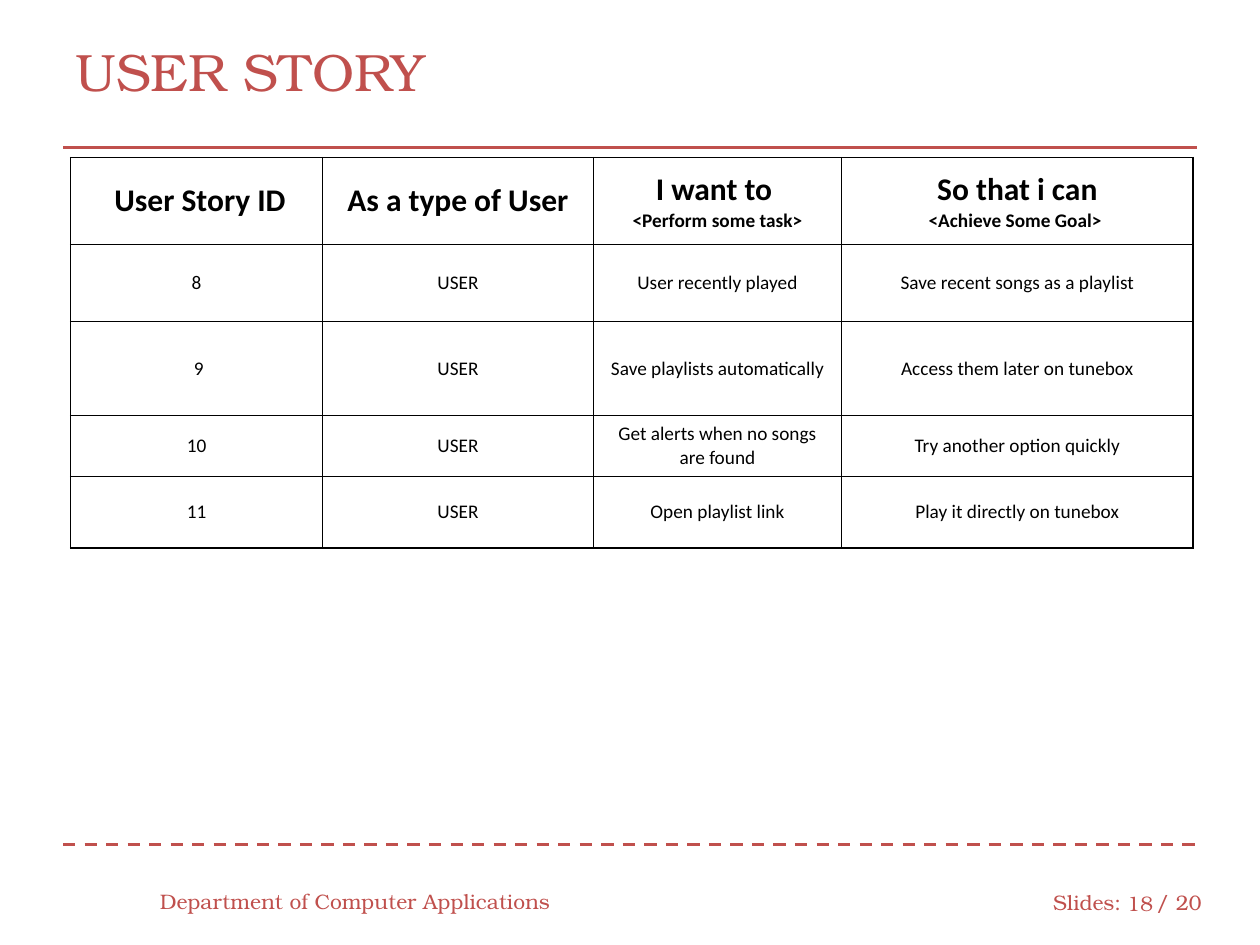
import pptx
import pptx.util
import pptx.dml.color
import pptx.enum.dml
import pptx.enum.shapes
import pptx.enum.text
from lxml import etree

Inches, Pt = pptx.util.Inches, pptx.util.Pt
ALIGN = pptx.enum.text.PP_ALIGN
MIDDLE = pptx.enum.text.MSO_ANCHOR.MIDDLE
NS = "http://schemas.openxmlformats.org/drawingml/2006/main"
RED, BLACK, WHITE = "C0504D", "000000", "FFFFFF"
SERIF, SANS = "TeX Gyre Bonum", "Calibri"

LABELS = [
    ("USER STORY", 0.5, 0.2, 9, 0.72, 30, ALIGN.LEFT),
    ("Department of Computer Applications", 1.17, 6.95, 3.33, 0.4, 12, ALIGN.LEFT),
    ("Slides:", 8.26, 6.96, 0.75, 0.4, 12, ALIGN.LEFT),
    ("18", 8.83, 6.97, 0.42, 0.4, 12, ALIGN.RIGHT),
    ("/ 20", 9.08, 6.96, 0.58, 0.4, 12, ALIGN.LEFT),
]
RULES = [(1.17, False), (6.7, True)]
HEADER = [
    [" User Story ID"],
    ["As a type of User"],
    ["I want to ", "<Perform some task>"],
    ["So that i can", "<Achieve Some Goal> "],
]
STORIES = [
    ("8", "USER", "User recently played", "Save recent songs as a playlist"),
    (" 9", "USER", "Save playlists automatically", "Access them later on tunebox"),
    ("10", "USER", "Get alerts when no songs are found", "Try another option quickly"),
    ("11", "USER", "Open playlist link", "Play it directly on tunebox"),
]
COLS = [2, 2.15, 1.97, 2.79]
ROWS = [0.69, 0.61, 0.75, 0.48, 0.57]
BORDERS = [("lnL", 1), ("lnR", 1), ("lnT", 0.75), ("lnB", 0.75)]


def rgb(color):
    return pptx.dml.color.RGBColor.from_string(color)


def add_run(p, text, size, font, color, bold=False):
    r = p.add_run()
    r.text = text
    r.font.size = Pt(size)
    r.font.name = font
    r.font.bold = bold
    r.font.color.rgb = rgb(color)


def add_label(s, text, x, y, w, h, size, align):
    sp = s.shapes.add_textbox(Inches(x), Inches(y), Inches(w), Inches(h))
    tf = sp.text_frame
    tf.word_wrap = True
    tf.vertical_anchor = MIDDLE
    p = tf.paragraphs[0]
    p.alignment = align
    add_run(p, text, size, SERIF, RED)


def add_rule(s, y, dashed):
    sp = s.shapes.add_connector(
        pptx.enum.shapes.MSO_CONNECTOR.STRAIGHT,
        Inches(0.5), Inches(y), Inches(9.5), Inches(y))
    sp.line.color.rgb = rgb(RED)
    sp.line.width = Pt(1.75)
    if dashed:
        sp.line.dash_style = pptx.enum.dml.MSO_LINE.DASH
    etree.SubElement(sp._element.spPr, f"{{{NS}}}effectLst")


def add_borders(cell):
    tcPr = cell._tc.get_or_add_tcPr()
    for tag, width in BORDERS:
        ln = etree.SubElement(tcPr, f"{{{NS}}}{tag}", w=str(Pt(width)))
        fill = etree.SubElement(ln, f"{{{NS}}}solidFill")
        etree.SubElement(fill, f"{{{NS}}}srgbClr", val=BLACK)


def fill_cell(cell, lines, sizes, bold, inset):
    add_borders(cell)
    cell.fill.solid()
    cell.fill.fore_color.rgb = rgb(WHITE)
    cell.vertical_anchor = MIDDLE
    cell.margin_left = cell.margin_right = Inches(0.1)
    cell.margin_top = cell.margin_bottom = Inches(inset)
    tf = cell.text_frame
    for i, (text, size) in enumerate(zip(lines, sizes)):
        p = tf.paragraphs[0] if i == 0 else tf.add_paragraph()
        p.alignment = ALIGN.CENTER
        add_run(p, text, size, SANS, BLACK, bold)


def add_story_table(s):
    table = s.shapes.add_table(
        len(ROWS), len(COLS), Inches(0.56), Inches(1.25),
        Inches(sum(COLS)), Inches(sum(ROWS))).table
    table.first_row = table.horz_banding = False
    for col, width in zip(table.columns, COLS):
        col.width = Inches(width)
    for row, height in zip(table.rows, ROWS):
        row.height = Inches(height)
    for c, lines in enumerate(HEADER):
        fill_cell(table.cell(0, c), lines, (18, 11), True, 0.1)
    for r, story in enumerate(STORIES, 1):
        for c, text in enumerate(story):
            inset = 0.05 if c == 2 else 0.1
            fill_cell(table.cell(r, c), [text], [11], False, inset)


def main():
    prs = pptx.Presentation()
    prs.slide_width, prs.slide_height = Inches(10), Inches(7.5)
    s = prs.slides.add_slide(prs.slide_layouts[6])
    for rule in RULES:
        add_rule(s, *rule)
    for label in LABELS:
        add_label(s, *label)
    add_story_table(s)
    prs.save("out.pptx")


if __name__ == "__main__":
    main()
